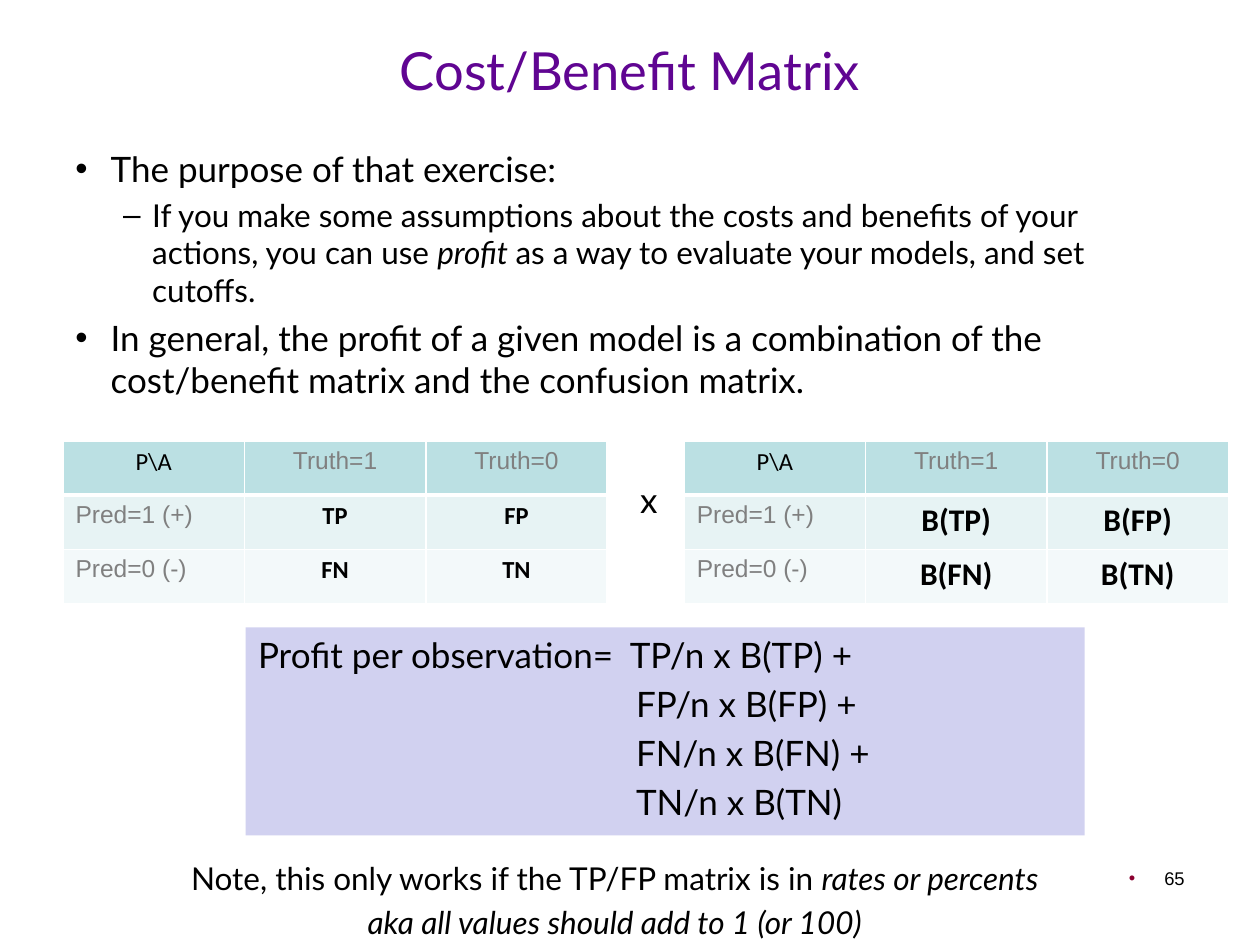
from lxml import etree
from pptx import Presentation
from pptx import util as u
from pptx.dml.color import RGBColor
from pptx.enum import shapes, text
from pptx.oxml.ns import qn

Inches, Pt = u.Inches, u.Pt
COLORS = {"purple": "600592", "black": "000000", "gray": "808080", "white": "FFFFFF",
          "header": "BBE0E3", "band": "E7F3F4", "pale": "F3F9FA",
          "lavender": "D1D1F0", "maroon": "8B0030"}
LEFT, CENTER, RIGHT = text.PP_ALIGN.LEFT, text.PP_ALIGN.CENTER, text.PP_ALIGN.RIGHT


def write(para, spans, size, font="Lato", color="black", align=LEFT, bold=False, space=0):
    """Fill a paragraph with (words, italic) spans in one style."""
    para.alignment = align
    para.space_before = Pt(space)
    for words, italic in spans:
        span = para.add_run()
        span.text = words
        style = {"size": Pt(size), "name": font, "bold": bold, "italic": italic}
        for name, value in style.items():
            setattr(span.font, name, value)
        span.font.color.rgb = RGBColor.from_string(COLORS[color])


def add_bullet(para, mark, margin, hang, color="black"):
    props = para._p.get_or_add_pPr()
    props.set("marL", str(Inches(margin)))
    props.set("indent", str(-Inches(hang)))
    fill = etree.SubElement(props, qn("a:buClr"))
    etree.SubElement(fill, qn("a:srgbClr"), val=COLORS[color])
    etree.SubElement(props, qn("a:buFont"), typeface="Arial")
    etree.SubElement(props, qn("a:buChar"), char=mark)


deck = Presentation()
deck.slide_width, deck.slide_height = Inches(10), Inches(7.5)
page = deck.slides.add_slide(deck.slide_layouts[5])

# Title
title = page.shapes.title
title.left, title.top, title.width, title.height = map(Inches, (0.5, 0.15, 9, 0.8))
title.text_frame.vertical_anchor = text.MSO_ANCHOR.MIDDLE
write(title.text_frame.paragraphs[0], [("Cost/Benefit Matrix", False)], 30,
      color="purple", align=CENTER)

# Bulleted text
body = page.shapes.add_textbox(Inches(0.5), Inches(1.12), Inches(8.76), Inches(3.03))
body.text_frame.word_wrap = True
points = [
    (0, [("The purpose of that exercise:", False)]),
    (1, [("If you make some assumptions about the costs and benefits of your actions, "
          "you can use ", False), ("profit ", True),
         ("as a way to evaluate your models, and set cutoffs.", False)]),
    (0, [("In general, the profit of a given model is a combination of the "
          "cost/benefit matrix and the confusion matrix.", False)]),
]
levels = [("•", 0.28, 0.28, 20), ("–", 0.61, 0.23, 18)]
for i, (level, spans) in enumerate(points):
    para = body.text_frame.paragraphs[0] if i == 0 else body.text_frame.add_paragraph()
    mark, margin, hang, size = levels[level]
    para.level = level
    write(para, spans, size, space=0.2 * size if i else 0)
    add_bullet(para, mark, margin, hang)

# Page number
number = page.shapes.add_textbox(Inches(7.17), Inches(6.83), Inches(2.33), Inches(0.52))
number.text_frame.word_wrap = True
para = number.text_frame.paragraphs[0]
write(para, [("65", False)], 10.5, font="Arial", align=RIGHT)
add_bullet(para, "•", 0.28, 0.28, "maroon")

# Confusion matrix and cost/benefit matrix
matrices = [(0.5, 14, "TP FP FN TN".split()),
            (5.43, 18, "B(TP) B(FP) B(FN) B(TN)".split())]
for left, value_size, values in matrices:
    table = page.shapes.add_table(3, 3, Inches(left), Inches(3.5),
                                  Inches(4.32), Inches(1.29)).table
    rows = [["P\\A", "Truth=1", "Truth=0"],
            ["Pred=1 (+)", *values[:2]],
            ["Pred=0 (-)", *values[2:]]]
    for r, row in enumerate(rows):
        table.rows[r].height = Inches(0.43)
        for c, words in enumerate(row):
            table.columns[c].width = Inches(1.44)
            cell = table.cell(r, c)
            for side in ("lnL", "lnR", "lnT", "lnB"):
                heavy = (r, side) in ((0, "lnB"), (1, "lnT"))
                line = etree.SubElement(cell._tc.get_or_add_tcPr(), qn(f"a:{side}"),
                                        w=str(Pt(3 if heavy else 1)))
                fill = etree.SubElement(line, qn("a:solidFill"))
                etree.SubElement(fill, qn("a:srgbClr"), val=COLORS["white"])
            cell.fill.solid()
            cell.fill.fore_color.rgb = RGBColor.from_string(
                COLORS[("header", "band", "pale")[r]])
            is_value = r > 0 and c > 0
            is_label = not is_value and (r, c) != (0, 0)
            write(cell.text_frame.paragraphs[0], [(words, False)],
                  value_size if is_value else 14,
                  font="Arial" if is_label else "Calibri",
                  color="gray" if is_label else "black",
                  align=CENTER if r == 0 or c > 0 else LEFT, bold=is_value)

# Multiplication sign between the matrices
times = page.shapes.add_textbox(Inches(5), Inches(3.75), Inches(0.3), Inches(0.44))
times.text_frame.margin_left, times.text_frame.margin_right = Inches(0.08), 0
times.text_frame.word_wrap = True
write(times.text_frame.paragraphs[0], [("x", False)], 20)

# Profit formula, its terms set on a tab stop
formula = page.shapes.add_shape(shapes.MSO_SHAPE.RECTANGLE, Inches(1.95), Inches(4.98),
                                Inches(6.66), Inches(1.65))
formula.shadow.inherit = False
formula.fill.solid()
formula.fill.fore_color.rgb = RGBColor.from_string(COLORS["lavender"])
formula.line.fill.background()
formula.text_frame.word_wrap = True
formula.text_frame.vertical_anchor = text.MSO_ANCHOR.TOP
terms = ["Profit per observation=\tTP/n x B(TP) +", "\tFP/n x B(FP) +",
         "\tFN/n x B(FN) +", "\tTN/n x B(TN)"]
for i, term in enumerate(terms):
    para = formula.text_frame.paragraphs[0] if i == 0 else formula.text_frame.add_paragraph()
    write(para, [(term, False)], 20, space=4 if i else 0)
    stops = etree.SubElement(para._p.get_or_add_pPr(), qn("a:tabLst"))
    etree.SubElement(stops, qn("a:tab"), pos=str(Inches(3 if i else 2.95)), algn="l")

# Closing note
note = page.shapes.add_textbox(Inches(1.28), Inches(6.77), Inches(7.2), Inches(0.77))
note.text_frame.word_wrap = False
write(note.text_frame.paragraphs[0],
      [("Note, this only works if the TP/FP matrix is in ", False),
       ("rates or percents", True)], 18, align=CENTER)
write(note.text_frame.add_paragraph(),
      [("aka all values should add to 1 (or 100)", True)], 18, align=CENTER, space=3.6)

deck.save("out.pptx")
